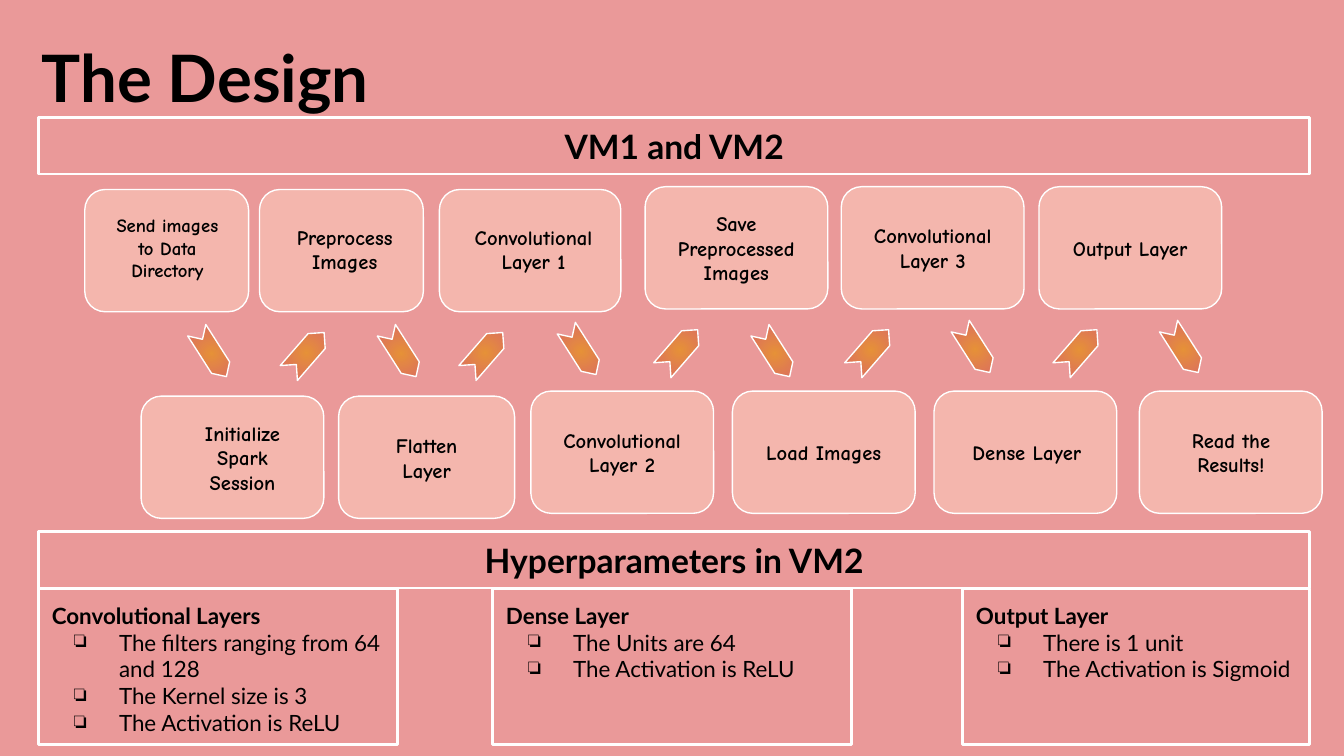
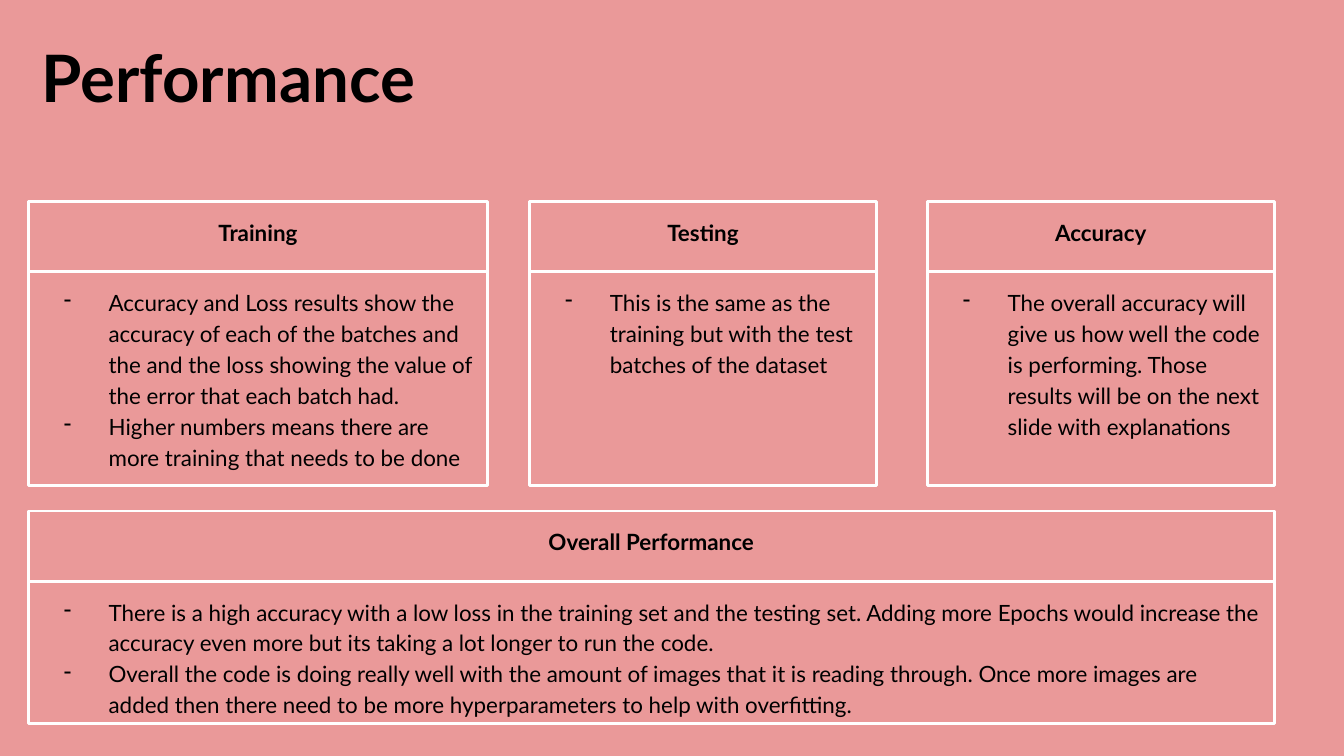
from lxml import etree
from pptx import Presentation
from pptx.dml.color import RGBColor
from pptx.enum.shapes import MSO_SHAPE
from pptx.enum.text import MSO_ANCHOR, MSO_AUTO_SIZE, PP_ALIGN
from pptx.oxml.ns import qn
from pptx.util import Pt

RECT, ROUND, CHEVRON = MSO_SHAPE.RECTANGLE, MSO_SHAPE.ROUNDED_RECTANGLE, MSO_SHAPE.CHEVRON
TOP, MIDDLE = MSO_ANCHOR.TOP, MSO_ANCHOR.MIDDLE
LEFT, CENTER = PP_ALIGN.LEFT, PP_ALIGN.CENTER
COLORS = {"back": "EA9999", "card": "F4B6AD", "line": "FFFFFF", "ink": "000000",
          "core": "E69138", "edge": "D96868"}
RGB = {name: RGBColor.from_string(code) for name, code in COLORS.items()}


def add_box(slide, kind, x, y, w, h, weight):
    """Add an unfilled shape with a white outline."""
    box = slide.shapes.add_shape(kind, Pt(x), Pt(y), Pt(w), Pt(h))
    box.shadow.inherit = False
    box.fill.background()
    box.line.color.rgb = RGB["line"]
    box.line.width = Pt(weight)
    return box


def write(shape, lines, size, font="Lato", bold=0, align=LEFT, anchor=TOP,
          space=1.0, bullet=None):
    """Fill a shape with paragraphs: the first `bold` ones are bold, the rest may be bulleted."""
    frame = shape.text_frame
    frame.word_wrap = True
    frame.auto_size = MSO_AUTO_SIZE.NONE
    frame.vertical_anchor = anchor
    frame.margin_left = frame.margin_right = Pt(7.2)
    frame.margin_top = frame.margin_bottom = Pt(7.2)
    frame.text = "\n".join(lines)
    for i, para in enumerate(frame.paragraphs):
        para.alignment = align
        para.line_spacing = space
        if bullet and i >= bold:
            props = para._p.get_or_add_pPr()
            props.set("marL", str(Pt(36)))
            props.set("indent", str(-Pt(24)))
            tint = etree.SubElement(props, qn("a:buClr"))
            etree.SubElement(tint, qn("a:srgbClr"), val=COLORS["ink"])
            etree.SubElement(props, qn("a:buChar"), char=bullet)
        for run in para.runs:
            run.font.name = font
            run.font.size = Pt(size)
            run.font.bold = i < bold
            run.font.color.rgb = RGB["ink"]


prs = Presentation()
prs.slide_width, prs.slide_height = Pt(720), Pt(405)
back = prs.slide_master.background.fill
back.solid()
back.fore_color.rgb = RGB["back"]

slides = []
for name in ("The Design", "Performance"):
    slide = prs.slides.add_slide(prs.slide_layouts[5])
    title = slide.shapes.title
    title.left, title.top, title.width, title.height = Pt(15.1), Pt(17.3), Pt(628.6), Pt(59)
    write(title, [name], 35, bold=1, space=0.9)
    slides.append(slide)
design, results = slides

# Design: banners
for y, text in ((62.8, "VM1 and VM2"), (284.6, "Hyperparameters in VM2")):
    banner = add_box(design, RECT, 20.7, y, 681, 30.5, 1.5)
    write(banner, [text], 18, bold=1, align=CENTER, anchor=MIDDLE)

# Design: steps as card x, y, width; label x, y, width; size; text
steps = [
    (45.4, 101.5, 87.8, 53.3, 109.4, 72.7, 10, "Send images to Data Directory"),
    (75.6, 212.2, 97.9, 93.6, 221.8, 72.7, 11, "Initialize Spark Session"),
    (139, 101.5, 87.8, 148.3, 110.2, 72.7, 11, "Preprocess Images"),
    (181.4, 212.2, 94.3, 192.2, 221.8, 72.7, 11, "Flatten Layer"),
    (235.4, 101.5, 97.2, 236.9, 110.2, 97.9, 11, "Convolutional Layer 1"),
    (284.4, 209.5, 97.9, 289.4, 218.9, 87.8, 11, "Convolutional Layer 2"),
    (345.6, 100, 97.9, 350.6, 109.4, 87.8, 11, "Save Preprocessed Images"),
    (392.4, 209.5, 97.9, 397.4, 218.9, 87.8, 11, "Load Images"),
    (450.7, 100, 97.9, 455.8, 109.4, 87.8, 11, "Convolutional Layer 3"),
    (500.4, 209.5, 97.9, 506.2, 218.9, 87.8, 11, "Dense Layer"),
    (556.6, 100, 97.9, 561.6, 109.4, 87.8, 11, "Output Layer"),
    (610.4, 209.5, 97.9, 615.6, 218.9, 87.8, 11, "Read the Results!"),
]
for x, y, w, left, top, wide, size, text in steps:
    card = add_box(design, ROUND, x, y, w, 65.5, 0.75)
    card.fill.solid()
    card.fill.fore_color.rgb = RGB["card"]
    label = design.shapes.add_textbox(Pt(left), Pt(top), Pt(wide), Pt(46.8))
    write(label, [text], size, "Comic Neue", bold=1, align=CENTER, anchor=MIDDLE)

# Design: arrows between the steps, down and up in turn
arrows = [(98.6, 183.6), (149.8, 182.9), (200.2, 183.6), (245.5, 182.9),
          (296.6, 182.5), (349.9, 181.4), (400.3, 183.6), (452.2, 181.4),
          (507.6, 181.4), (563.8, 181.4), (619.2, 181.4)]
for i, (x, y) in enumerate(arrows):
    w, h, turn = (28.8, 12.2, 311) if i % 2 else (29.5, 11.5, 57.4)
    arrow = add_box(design, CHEVRON, x, y, w, h, 0.75)
    arrow.rotation = turn
    arrow.fill.gradient()
    for stop, tone in zip(arrow.fill.gradient_stops, ("core", "edge")):
        stop.color.rgb = RGB[tone]
    grad = arrow._element.spPr.find(qn("a:gradFill"))
    grad.remove(grad.find(qn("a:lin")))
    glow = etree.SubElement(grad, qn("a:path"), path="circle")
    etree.SubElement(glow, qn("a:fillToRect"), l="50000", t="50000", r="50000", b="50000")

# Design: hyperparameters
panels = [
    (20.7, 192.2, ["Convolutional Layers", "The filters ranging from 64 and 128",
                   "The Kernel size is 3", "The Activation is ReLU"]),
    (264, 192.2, ["Dense Layer", "The Units are 64", "The Activation is ReLU"]),
    (515.8, 185.9, ["Output Layer", "There is 1 unit", "The Activation is Sigmoid"]),
]
for x, w, lines in panels:
    panel = add_box(design, RECT, x, 315.2, w, 83.5, 1.5)
    write(panel, lines, 12, bold=1, bullet="❏")

# Performance: a heading over each list
blocks = [
    (15.1, 108, 246.2, 114.5, "Training", [
        "Accuracy and Loss results show the accuracy of each of the batches and the "
        "and the loss showing the value of the error that each batch had.",
        "Higher numbers means there are more training that needs to be done"]),
    (283.7, 108, 185.9, 114.5, "Testing", [
        "This is the same as the training but with the test batches of the dataset"]),
    (496.8, 108, 185.9, 114.5, "Accuracy", [
        "The overall accuracy will give us how well the code is performing. Those "
        "results will be on the next slide with explanations"]),
    (15.1, 273.8, 667.6, 76.3, "Overall Performance", [
        "There is a high accuracy with a low loss in the training set and the testing "
        "set. Adding more Epochs would increase the accuracy even more but its taking "
        "a lot longer to run the code.",
        "Overall the code is doing really well with the amount of images that it is "
        "reading through. Once more images are added then there need to be more "
        "hyperparameters to help with overfitting."]),
]
for x, y, w, h, head, lines in blocks:
    write(add_box(results, RECT, x, y, w, 37.6, 1.5), [head], 12, bold=1,
          align=CENTER, space=1.15)
    write(add_box(results, RECT, x, y + 37.6, w, h, 1.5), lines, 12,
          space=1.15, bullet="-")

prs.save("out.pptx")
